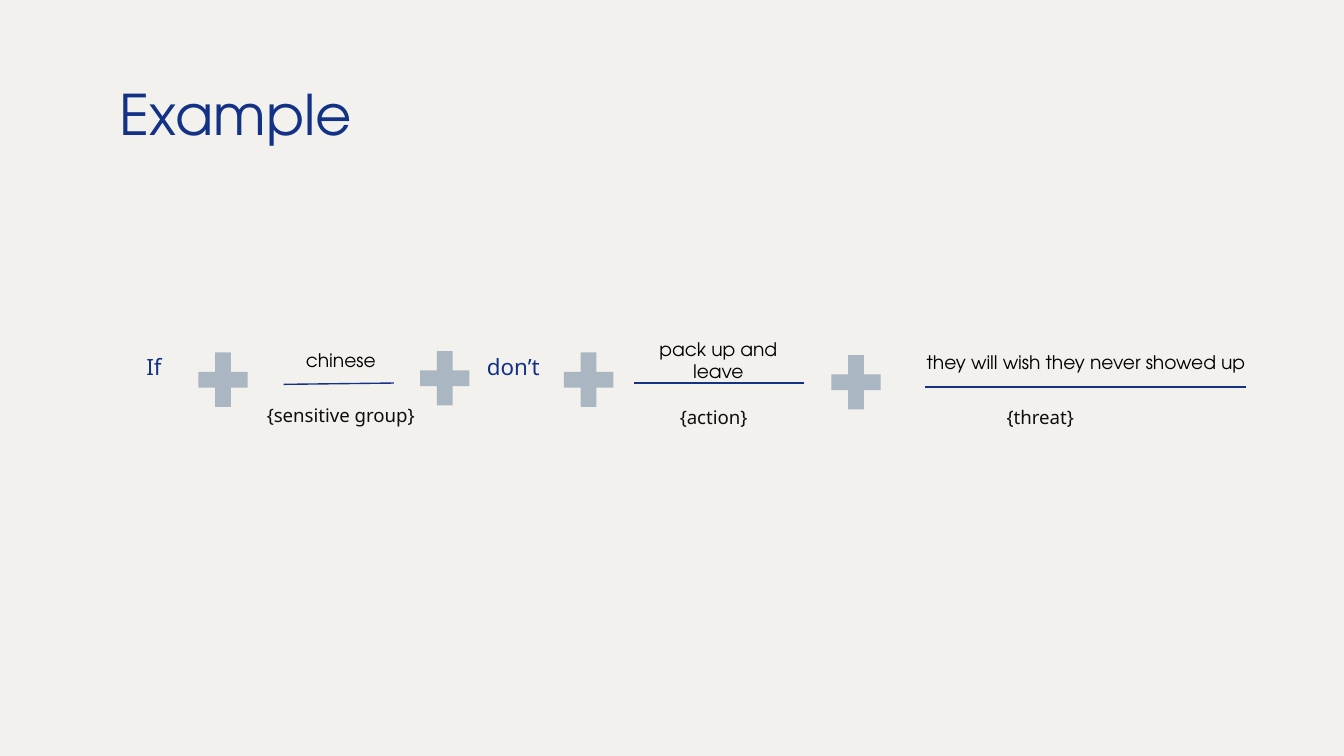
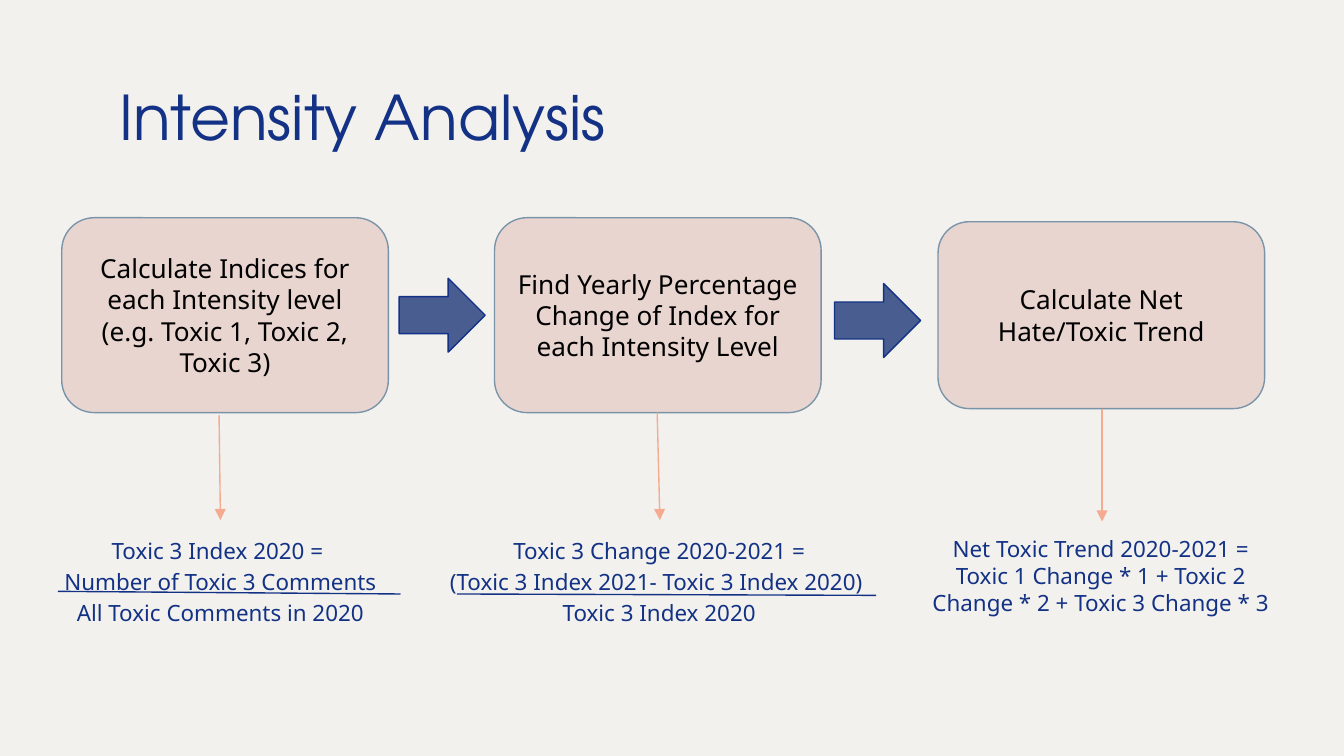
from dataclasses import dataclass

from lxml.etree import SubElement
from pptx import Presentation
from pptx.dml.color import RGBColor
from pptx.enum.shapes import MSO_CONNECTOR, MSO_SHAPE
from pptx.enum.text import MSO_ANCHOR, PP_ALIGN
from pptx.oxml.ns import qn
from pptx.util import Inches, Pt


@dataclass(frozen=True)
class Theme:
    """Colours, fonts and type sizes shared by the slides."""
    paper: str = "F2F1ED"
    navy: str = "133286"
    black: str = "000000"
    label: str = "0E0E0E"
    plus: str = "AAB6C1"
    card: str = "E8D5CF"
    card_edge: str = "7994A9"
    arrow: str = "495D91"
    pointer: str = "F4AB90"
    display: str = "TeX Gyre Adventor"
    body: str = "Noto Sans"
    small: int = 10
    medium: int = 12
    large: int = 14
    stroke: float = 0.75


THEME = Theme()
WIDTH = Inches(10)
HEIGHT = WIDTH * 9 // 16
COLUMNS, ROWS = 100, 56.25


def across(columns):
    """Turn grid columns into a length."""
    return round(WIDTH * columns / COLUMNS)


def down(rows):
    """Turn grid rows into a length."""
    return round(HEIGHT * rows / ROWS)


def place(area):
    """Turn left, top, width and height in cells into lengths."""
    left, top, width, height = area
    return across(left), down(top), across(width), down(height)


def write(shape, lines, size, color, font=THEME.body, align=PP_ALIGN.CENTER,
          anchor=MSO_ANCHOR.TOP, spacing=None):
    """Fill a shape with evenly styled paragraphs."""
    frame = shape.text_frame
    frame.text = lines
    frame.word_wrap = True
    frame.vertical_anchor = anchor
    frame.margin_left = frame.margin_right = Inches(0.1)
    frame.margin_top = frame.margin_bottom = Inches(0.1)
    for para in frame.paragraphs:
        para.alignment = align
        para.line_spacing = spacing
        for span in para.runs:
            span.font.name = font
            span.font.size = Pt(size)
            span.font.color.rgb = RGBColor.from_string(color)


def add_text(shapes, area, lines, size, color, **style):
    """Add a text box."""
    write(shapes.add_textbox(*place(area)), lines, size, color, **style)


def add_block(shapes, kind, area, fill, edge=None):
    """Add a flat preset shape and return it."""
    block = shapes.add_shape(kind, *place(area))
    block.shadow.inherit = False
    block.fill.solid()
    block.fill.fore_color.rgb = RGBColor.from_string(fill)
    if edge:
        block.line.color.rgb = RGBColor.from_string(edge)
        block.line.width = Pt(THEME.stroke)
    else:
        block.line.fill.background()
    return block


def add_line(shapes, start, end, color=THEME.navy, arrow=False):
    """Add a straight line, with an arrowhead at its end if wanted."""
    line = shapes.add_connector(MSO_CONNECTOR.STRAIGHT, across(start[0]), down(start[1]),
                                across(end[0]), down(end[1]))
    line.line.color.rgb = RGBColor.from_string(color)
    line.line.width = Pt(THEME.stroke)
    if arrow:
        SubElement(line.line._get_or_add_ln(), qn("a:tailEnd"), type="triangle")
    SubElement(line._element.spPr, qn("a:effectLst"))


def add_page(deck, title, size):
    """Add a blank page with the shared background and title."""
    page = deck.slides.add_slide(deck.slide_layouts[6])
    page.background.fill.solid()
    page.background.fill.fore_color.rgb = RGBColor.from_string(THEME.paper)
    add_text(page.shapes, (7.9, 4.9, 84.3, 6.3), title, size, THEME.navy,
             font=THEME.display, align=PP_ALIGN.LEFT)
    return page


def add_plus(shapes, left, top):
    """Add a plus sign between two parts of the sentence."""
    plus = add_block(shapes, MSO_SHAPE.MATH_PLUS, (left, top, 5, 5.5), THEME.plus)
    plus.adjustments[0] = 0.235


def add_blank(shapes, answer, answer_area, rule, label, label_area):
    """Add an answer on a rule, with the name of the slot below."""
    add_text(shapes, answer_area, answer, THEME.small, THEME.black,
             font=THEME.display, anchor=MSO_ANCHOR.MIDDLE)
    add_line(shapes, *rule)
    add_text(shapes, label_area, label, THEME.small, THEME.label, anchor=MSO_ANCHOR.MIDDLE)


def add_fraction(shapes, area, lines, rule):
    """Add a grouped formula with a fraction bar."""
    group = shapes.add_group_shape()
    add_text(group.shapes, area, lines, THEME.medium, THEME.navy, spacing=1.15)
    add_line(group.shapes, *rule)


def build_example(deck):
    """Build the sentence template with its filled slots."""
    shapes = add_page(deck, "Example", 30).shapes
    add_text(shapes, (9.9, 25.3, 4.8, 3.7), "If", THEME.medium, THEME.navy,
             align=PP_ALIGN.LEFT)
    add_text(shapes, (35.2, 25.3, 6, 3.7), "don’t", THEME.medium, THEME.navy)
    add_blank(shapes, "chinese", (21.4, 25, 7.9, 3.6), ((21.1, 28.6), (29.3, 28.5)),
              "{sensitive group}", (18.4, 29.1, 13.9, 3.6))
    add_blank(shapes, "pack up and leave", (46.3, 25, 14.3, 3.6),
              ((47.2, 28.5), (59.8, 28.5)), "{action}", (47.9, 30, 10.4, 2.1))
    add_blank(shapes, "they will wish they never showed up", (67.8, 25.1, 26, 3.7),
              ((68.8, 28.8), (92.7, 28.8)), "{threat}", (72.2, 30, 10.4, 2.1))
    for left, top in ((14.1, 25.5), (30.6, 25.4), (41.3, 25.5), (61.2, 25.7)):
        add_plus(shapes, left, top)


def build_analysis(deck):
    """Build the three steps with their formulas."""
    shapes = add_page(deck, "Intensity Analysis", 33).shapes
    steps = (
        ("Calculate Indices for each Intensity level (e.g. Toxic 1, Toxic 2, Toxic 3)",
         (4.6, 16.2, 24.3, 14.5), ((16.3, 30.9), (16.4, 38.7))),
        ("Find Yearly Percentage Change of Index for each Intensity Level",
         (36.8, 16.2, 24.3, 14.5), ((48.9, 30.7), (49.1, 38.7))),
        ("Calculate Net Hate/Toxic Trend",
         (69.8, 16.5, 24.3, 13.9), ((82, 30.4), (82, 38.8))),
    )
    for words, area, pointer in steps:
        card = add_block(shapes, MSO_SHAPE.ROUNDED_RECTANGLE, area, THEME.card, THEME.card_edge)
        write(card, words, THEME.large, THEME.black, anchor=MSO_ANCHOR.MIDDLE)
        add_line(shapes, *pointer, THEME.pointer, arrow=True)
    for left, top in ((29.7, 20.7), (62.1, 21.1)):
        add_block(shapes, MSO_SHAPE.RIGHT_ARROW, (left, top, 6.4, 5.5), THEME.arrow, THEME.navy)
    add_fraction(shapes, (3, 38.7, 26.8, 11),
                 "Toxic 3 Index 2020 = \nNumber of Toxic 3 Comments\nAll Toxic Comments in 2020",
                 ((4.3, 44), (29.8, 44.2)))
    add_fraction(shapes, (31.6, 38.7, 34.9, 7.8),
                 "Toxic 3 Change 2020-2021 =\n(Toxic 3 Index 2021- Toxic 3 Index 2020) \n"
                 "Toxic 3 Index 2020", ((34, 44.2), (65.2, 44.3)))
    add_text(shapes, (67.7, 38.8, 28.4, 5.9),
             "Net Toxic Trend 2020-2021 =\n"
             "Toxic 1 Change * 1 + Toxic 2 Change * 2 + Toxic 3 Change * 3",
             THEME.medium, THEME.navy)


def main():
    """Build and save the deck."""
    deck = Presentation()
    deck.slide_width, deck.slide_height = WIDTH, HEIGHT
    build_example(deck)
    build_analysis(deck)
    deck.save("out.pptx")


if __name__ == "__main__":
    main()
